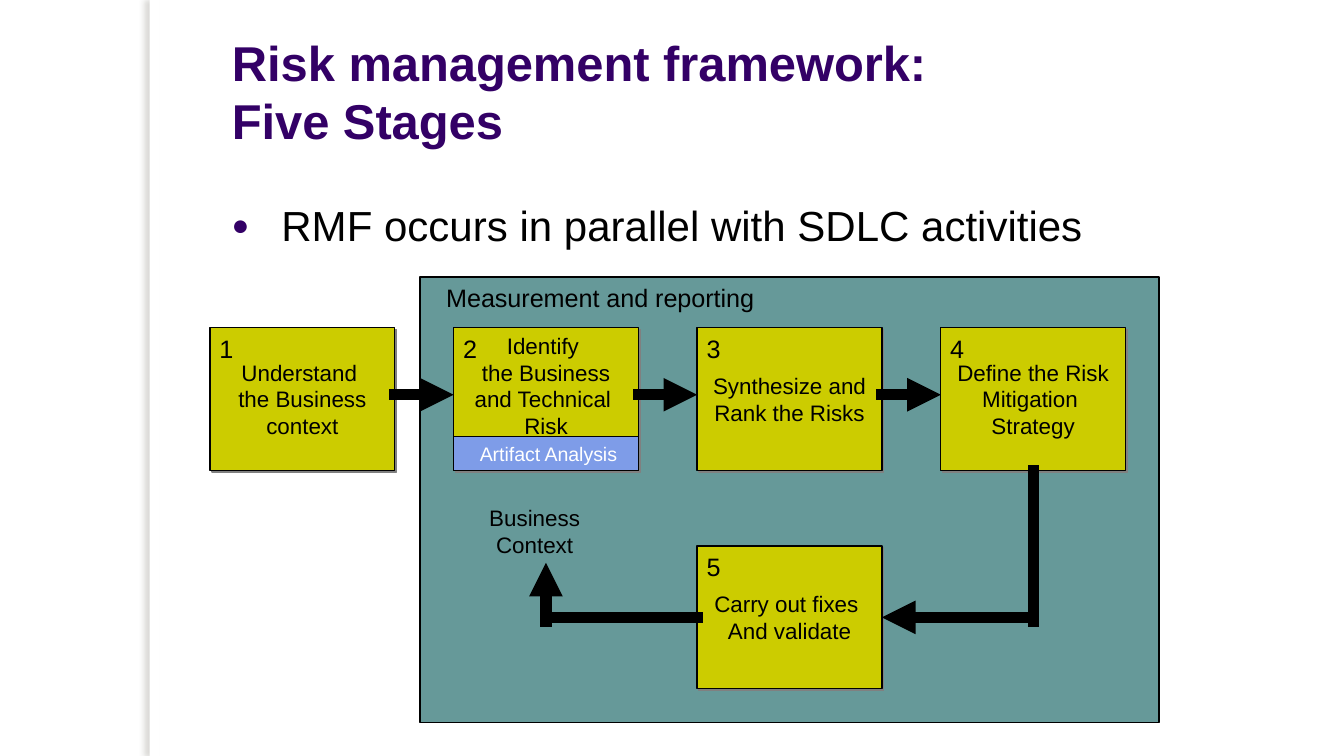
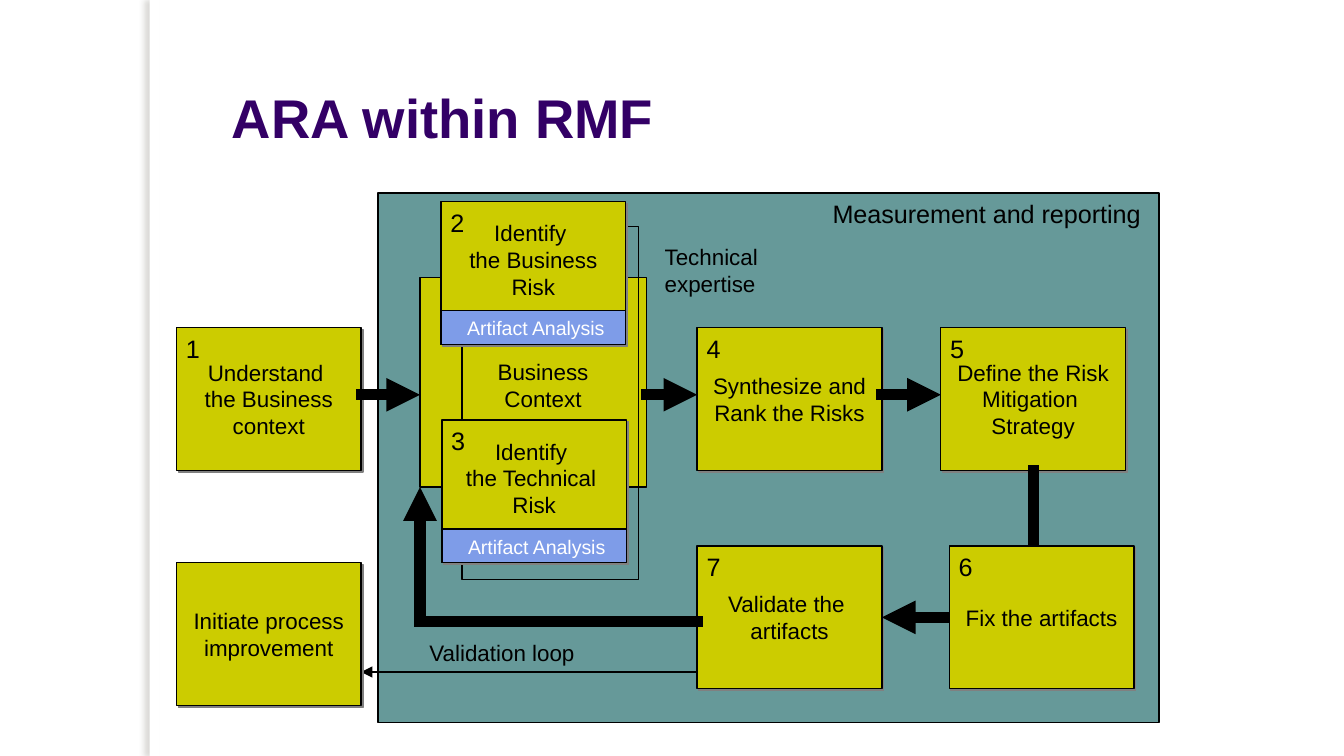
from lxml.etree import SubElement
from pptx import Presentation
from pptx.dml.color import RGBColor
from pptx.enum.shapes import MSO_CONNECTOR, MSO_SHAPE
from pptx.enum.text import MSO_ANCHOR, MSO_AUTO_SIZE, PP_ALIGN
from pptx.oxml.ns import qn
from pptx.util import Inches, Pt

COLORS = {
    "title": "330066", "text": "000000", "white": "FFFFFF", "line": "000000",
    "panel": "669999", "stage": "CCCC00", "artifact": "7E9CE8",
    "stage_shadow": "808080", "edge_shadow": "736F63",
}
FONT = "Arial"
COLUMNS, ROWS = 160, 90  # grid of 1/16 inch squares
STAGE_WIDTH, STAGE_HEIGHT, ARTIFACT_HEIGHT = 22, 17, 4
TOP, BOTTOM, LEFT, RIGHT = 0, 2, 1, 3  # connection sites


class Deck:
    def __init__(self):
        self.presentation = Presentation()
        self.presentation.slide_width = Inches(10)
        self.presentation.slide_height = Inches(5.625)
        self.slide = None

    def grid(self, *units):
        sizes = (self.presentation.slide_width / COLUMNS,
                 self.presentation.slide_height / ROWS)
        return [int(unit * sizes[index % 2]) for index, unit in enumerate(units)]

    def color(self, name):
        return RGBColor.from_string(COLORS[name])

    def format_text(self, frame, size, color="text", align=PP_ALIGN.LEFT, bold=False):
        for paragraph in frame.paragraphs:
            paragraph.alignment = align
            paragraph.font.name = FONT
            paragraph.font.size = Pt(size)
            paragraph.font.bold = bold
            paragraph.font.color.rgb = self.color(color)

    def set_insets(self, frame, horizontal=0.07, vertical=0.04):
        frame.margin_left = frame.margin_right = Inches(horizontal)
        frame.margin_top = frame.margin_bottom = Inches(vertical)

    def add_shadow(self, shape, color, opacity, blur, distance, angle):
        effects = shape._element.spPr.find(qn("a:effectLst"))
        shadow = SubElement(effects, qn("a:outerShdw"), blurRad=str(Pt(blur)),
                            dist=str(Pt(distance)), dir=str(angle * 60000),
                            algn="ctr", rotWithShape="0")
        tint = SubElement(shadow, qn("a:srgbClr"), val=COLORS[color])
        SubElement(tint, qn("a:alpha"), val=str(opacity * 1000))

    def start_slide(self, title, size):
        layout = self.presentation.slide_layouts[5]
        self.slide = self.presentation.slides.add_slide(layout)
        self.slide.background.fill.solid()
        self.slide.background.fill.fore_color.rgb = self.color("white")
        # Raised left edge of the page
        edge = self.box(17.8, 0, 1.2, ROWS, "white", outlined=False)
        self.add_shadow(edge, "edge_shadow", 25, 3, 3, 180)
        # Title
        placeholder = self.slide.shapes.title
        (placeholder.left, placeholder.top,
         placeholder.width, placeholder.height) = self.grid(26, 1.6, 99, 17)
        frame = placeholder.text_frame
        frame.text = title
        frame.auto_size = MSO_AUTO_SIZE.NONE
        frame.vertical_anchor = MSO_ANCHOR.BOTTOM
        self.set_insets(frame, 0.1, 0.05)
        self.format_text(frame, size, "title", bold=True)

    def box(self, left, top, width, height, fill=None, outlined=True):
        shape = self.slide.shapes.add_shape(
            MSO_SHAPE.RECTANGLE, *self.grid(left, top, width, height))
        shape.shadow.inherit = False
        if fill:
            shape.fill.solid()
            shape.fill.fore_color.rgb = self.color(fill)
        else:
            shape.fill.background()
        if outlined:
            shape.line.color.rgb = self.color("line")
            shape.line.width = Pt(0.75)
        else:
            shape.line.fill.background()
        return shape

    def label(self, text, left, top, width, height, size=12, color="text",
              align=PP_ALIGN.LEFT):
        shape = self.slide.shapes.add_textbox(*self.grid(left, top, width, height))
        frame = shape.text_frame
        frame.text = text
        frame.word_wrap = False
        self.set_insets(frame)
        self.format_text(frame, size, color, align)

    def bullet(self, text, left, top, width, height):
        shape = self.slide.shapes.add_textbox(*self.grid(left, top, width, height))
        frame = shape.text_frame
        frame.word_wrap = True
        frame.text = text
        self.set_insets(frame, 0.1, 0.08)
        properties = frame.paragraphs[0]._p.get_or_add_pPr()
        properties.set("marL", str(Inches(0.37)))
        properties.set("indent", str(-Inches(0.37)))
        bullet_color = SubElement(properties, qn("a:buClr"))
        SubElement(bullet_color, qn("a:srgbClr"), val=COLORS["title"])
        SubElement(properties, qn("a:buSzPct"), val="70000")
        SubElement(properties, qn("a:buFont"), typeface=FONT)
        SubElement(properties, qn("a:buChar"), char="●")
        self.format_text(frame, 22.5)

    def stage(self, number, text, left, top, artifact=False):
        shape = self.box(left, top, STAGE_WIDTH, STAGE_HEIGHT, "stage")
        self.add_shadow(shape, "stage_shadow", 100, 0, 1.4, 45)
        frame = shape.text_frame
        frame.text = text
        frame.word_wrap = False
        frame.vertical_anchor = MSO_ANCHOR.MIDDLE
        self.set_insets(frame)
        self.format_text(frame, 12, align=PP_ALIGN.CENTER)
        if artifact:
            frame.margin_bottom = Inches(0.24)
            strip_top = top + STAGE_HEIGHT - ARTIFACT_HEIGHT
            self.box(left, strip_top, STAGE_WIDTH, ARTIFACT_HEIGHT, "artifact")
            self.label("Artifact Analysis", left + 2, strip_top, 19.2,
                       ARTIFACT_HEIGHT, 10.5, "white")
        if number:
            self.label(str(number), left, top, 4, 4.8, 13.5)
        return shape

    def connect(self, start, end, width=6, arrow=True, begin=None, finish=None):
        connector = self.slide.shapes.add_connector(
            MSO_CONNECTOR.STRAIGHT, *self.grid(*start, *end))
        if begin:
            connector.begin_connect(*begin)
        if finish:
            connector.end_connect(*finish)
        connector.line.color.rgb = self.color("line")
        connector.line.width = Pt(width)
        outline = connector.line._get_or_add_ln()
        outline.set("cap", "sq")
        if arrow:
            SubElement(outline, qn("a:tailEnd"), type="triangle")
        SubElement(connector._element.spPr, qn("a:effectLst"))


def build_five_stages(deck):
    deck.start_slide("Risk management framework:\vFive Stages", 26.2)
    deck.box(50, 33, 88, 53, "panel")
    deck.bullet("RMF occurs in parallel with SDLC activities", 26, 22.5, 108, 8)
    deck.label("Measurement and reporting", 52, 33, 39.5, 4.8, 13.5)

    # Stages, upper row at equal steps
    names = ["Understand \nthe Business\ncontext",
             "Identify \nthe Business\nand Technical \nRisk",
             "Synthesize and\nRank the Risks",
             "Define the Risk\nMitigation \nStrategy"]
    stages = [deck.stage(index + 1, name, 25 + 29 * index, 39, artifact=index == 1)
              for index, name in enumerate(names)]
    fixes = deck.stage(5, "Carry out fixes \nAnd validate", 83, 65)
    deck.label("Business\nContext", 57, 59.4, 13.3, 7.7, align=PP_ALIGN.CENTER)

    # Flow
    for left in (47, 76, 105):
        deck.connect((left, 47), (left + 7, 47))
    deck.connect((123, 56), (123, 74), arrow=False, begin=(stages[3], BOTTOM))
    deck.connect((123, 73.5), (105, 73.5), finish=(fixes, RIGHT))
    deck.connect((83, 73.5), (65, 73.5), arrow=False, begin=(fixes, LEFT))
    deck.connect((65, 74), (65, 67))


def build_analysis_loop(deck):
    deck.start_slide("ARA within RMF", 29.2)
    deck.box(45, 23, 93, 63, "panel")
    deck.box(50, 33, 27, 25, "stage")

    # Stages around the loop
    deck.stage(1, "Understand \nthe Business\ncontext", 21, 39)
    deck.stage(4, "Synthesize and\nRank the Risks", 83, 39)
    mitigation = deck.stage(5, "Define the Risk\nMitigation \nStrategy", 112, 39)
    deck.stage(7, "Validate the \nartifacts", 83, 65)
    deck.label("Business\nContext", 58, 42, 13.3, 7.7, align=PP_ALIGN.CENTER)

    # Flow
    for left, right in ((43, 50), (77, 83), (105, 112)):
        deck.connect((left, 47), (right, 47))
    deck.connect((123, 56), (123, 74), arrow=False, begin=(mitigation, BOTTOM))
    deck.connect((123, 73.5), (105, 73.5))
    deck.connect((83, 74), (50, 74), arrow=False)
    deck.connect((50, 74), (50, 58))
    deck.stage(6, "Fix the artifacts", 113, 65)
    deck.label("Validation loop", 50, 75.4, 19.7, 4.5)

    # Risk identification inside the technical expertise frame
    deck.box(55, 27, 21, 42)
    deck.stage(2, "Identify \nthe Business\nRisk", 52.5, 24, artifact=True)
    deck.stage(3, "Identify \nthe Technical \nRisk", 52.6, 50, artifact=True)
    deck.label("Technical\nexpertise", 78, 28.3, 13.6, 7.7)
    deck.label("Measurement and reporting", 98, 23, 39.5, 4.8, 13.5)

    # Way out of the loop
    deck.connect((83, 80), (43, 80), width=0.75)
    deck.stage(None, "Initiate process\nimprovement", 21, 67)


def main():
    deck = Deck()
    build_five_stages(deck)
    build_analysis_loop(deck)
    deck.presentation.save("out.pptx")


if __name__ == "__main__":
    main()
